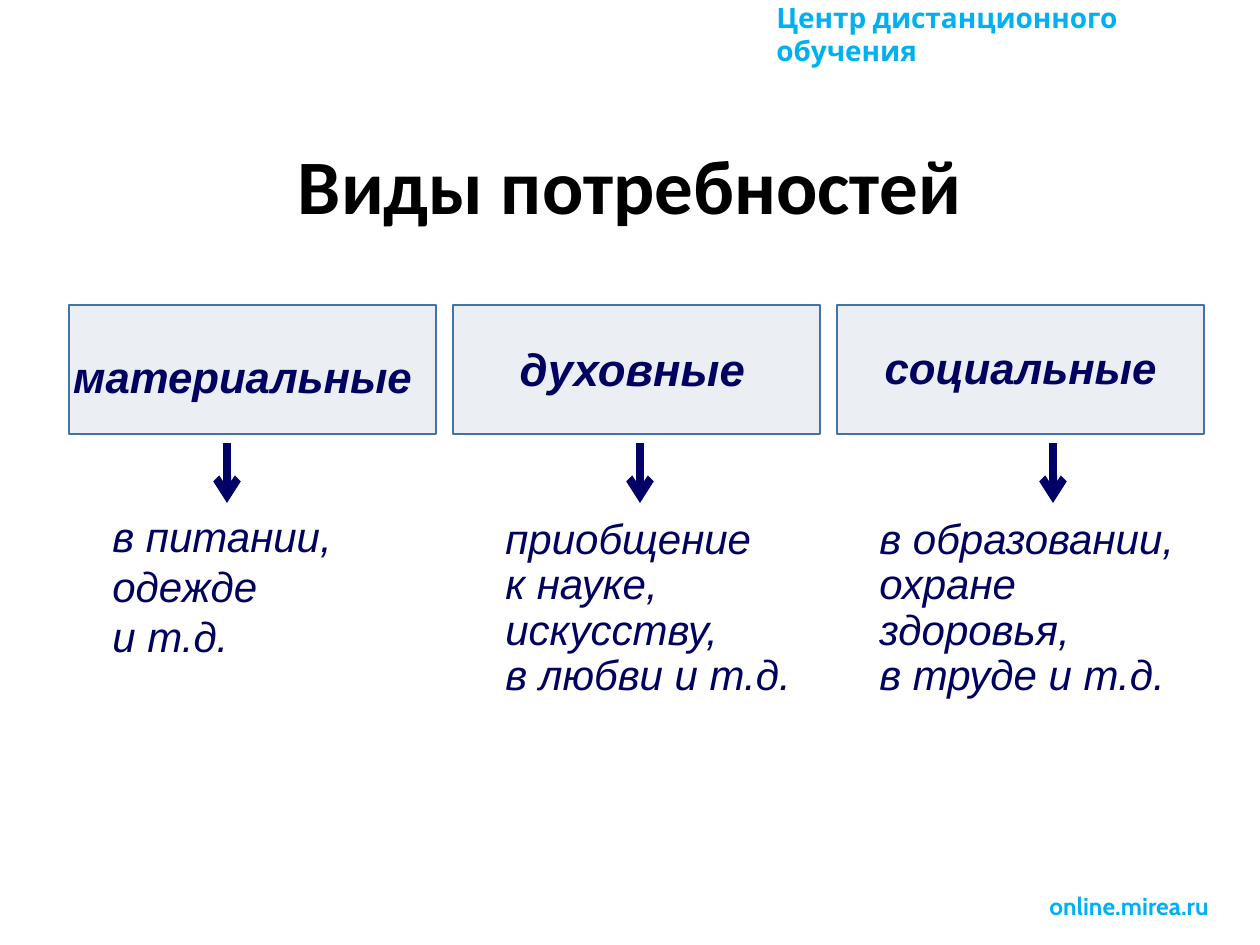
from lxml.etree import SubElement
from pptx import Presentation
from pptx.dml.color import RGBColor
from pptx.enum.shapes import MSO_CONNECTOR, MSO_SHAPE
from pptx.enum.text import MSO_ANCHOR, PP_ALIGN
from pptx.oxml.ns import qn
from pptx.util import Emu, Pt

PX = 914400 / 126

CYAN = RGBColor(0x00, 0xB0, 0xF0)
BLACK = RGBColor(0, 0, 0)
NAVY = RGBColor(0x00, 0x00, 0x60)
ARROW_BLUE = RGBColor(0x00, 0x00, 0x66)
BOX_FILL = RGBColor(0xEB, 0xEE, 0xF2)
BOX_LINE = RGBColor(0x43, 0x73, 0x9E)

TITLE = "Виды потребностей"
# text, place (left, top, width, height), size
BRANDING = [
    ("Центр дистанционного обучения", (764, -6, 496, 47), 16),
    ("online.mirea.ru", (1037, 885, 203, 43), 14),
]
NEEDS = [
    {"name": "материальные", "name_at": (59, 344, 367, 66), "size": 25,
     "examples": ["в питании,", "одежде", "и т.д."],
     "examples_at": (100, 504, 287, 165), "spacing": 1.0},
    {"name": "духовные", "name_at": (462, 335, 341, 68), "size": 26,
     "examples": ["приобщение", "к науке, искусству,", "в любви и т.д."],
     "examples_at": (493, 512, 358, 197), "spacing": 0.9},
    {"name": "социальные", "name_at": (837, 335, 367, 66), "size": 25,
     "examples": ["в образовании, охране здоровья,", "в труде и т.д."],
     "examples_at": (867, 512, 348, 197), "spacing": 0.9},
]
BOX_LEFT, BOX_TOP, BOX_WIDTH, BOX_HEIGHT, BOX_PITCH = 69, 305, 367, 129, 384
ARROW_LEFT, ARROW_TOP, ARROW_BOTTOM, ARROW_PITCH = 227, 443, 503, 413


def px(*lengths):
    return [Emu(round(length * PX)) for length in lengths]


def write(frame, lines, size, color, font="Arial", bold=False, italic=False,
          align=PP_ALIGN.LEFT, spacing=1.0):
    frame.word_wrap = True
    frame.vertical_anchor = MSO_ANCHOR.TOP
    frame.text = "\n".join(lines)
    for paragraph in frame.paragraphs:
        paragraph.alignment = align
        paragraph.line_spacing = spacing
        paragraph.font.name = font
        paragraph.font.size = Pt(size)
        paragraph.font.bold = bold
        paragraph.font.italic = italic
        paragraph.font.color.rgb = color


def add_text(slide, place, *args, **style):
    write(slide.shapes.add_textbox(*px(*place)).text_frame, *args, **style)


def add_box(slide, left):
    box = slide.shapes.add_shape(
        MSO_SHAPE.RECTANGLE, *px(left, BOX_TOP, BOX_WIDTH, BOX_HEIGHT))
    box.shadow.inherit = False
    box.fill.solid()
    box.fill.fore_color.rgb = BOX_FILL
    box.line.color.rgb = BOX_LINE
    box.line.width = Pt(1)


def add_arrow(slide, x):
    arrow = slide.shapes.add_connector(
        MSO_CONNECTOR.STRAIGHT, *px(x, ARROW_TOP, x, ARROW_BOTTOM))
    arrow.line.color.rgb = ARROW_BLUE
    arrow.line.width = Pt(4.5)
    SubElement(arrow.line._get_or_add_ln(), qn("a:tailEnd"), type="arrow")
    SubElement(arrow._element.spPr, qn("a:effectLst"))


def main():
    presentation = Presentation()
    presentation.slide_width, presentation.slide_height = px(1260, 945)
    slide = presentation.slides.add_slide(presentation.slide_layouts[5])

    for text, place, size in BRANDING:
        add_text(slide, place, [text], size, CYAN, font="Cabin", bold=True)

    title = slide.shapes.title
    title.left, title.top, title.width, title.height = px(87, 142, 1086, 183)
    write(title.text_frame, [TITLE], 44, BLACK, font="Calibri", bold=True,
          align=PP_ALIGN.CENTER, spacing=0.9)

    for column, need in enumerate(NEEDS):
        add_box(slide, BOX_LEFT + column * BOX_PITCH)
        add_text(slide, need["name_at"], [need["name"]], need["size"], NAVY,
                 bold=True, italic=True, align=PP_ALIGN.CENTER)
        add_arrow(slide, ARROW_LEFT + column * ARROW_PITCH)
        add_text(slide, need["examples_at"], need["examples"], 24, NAVY,
                 italic=True, spacing=need["spacing"])

    presentation.save("out.pptx")


if __name__ == "__main__":
    main()
